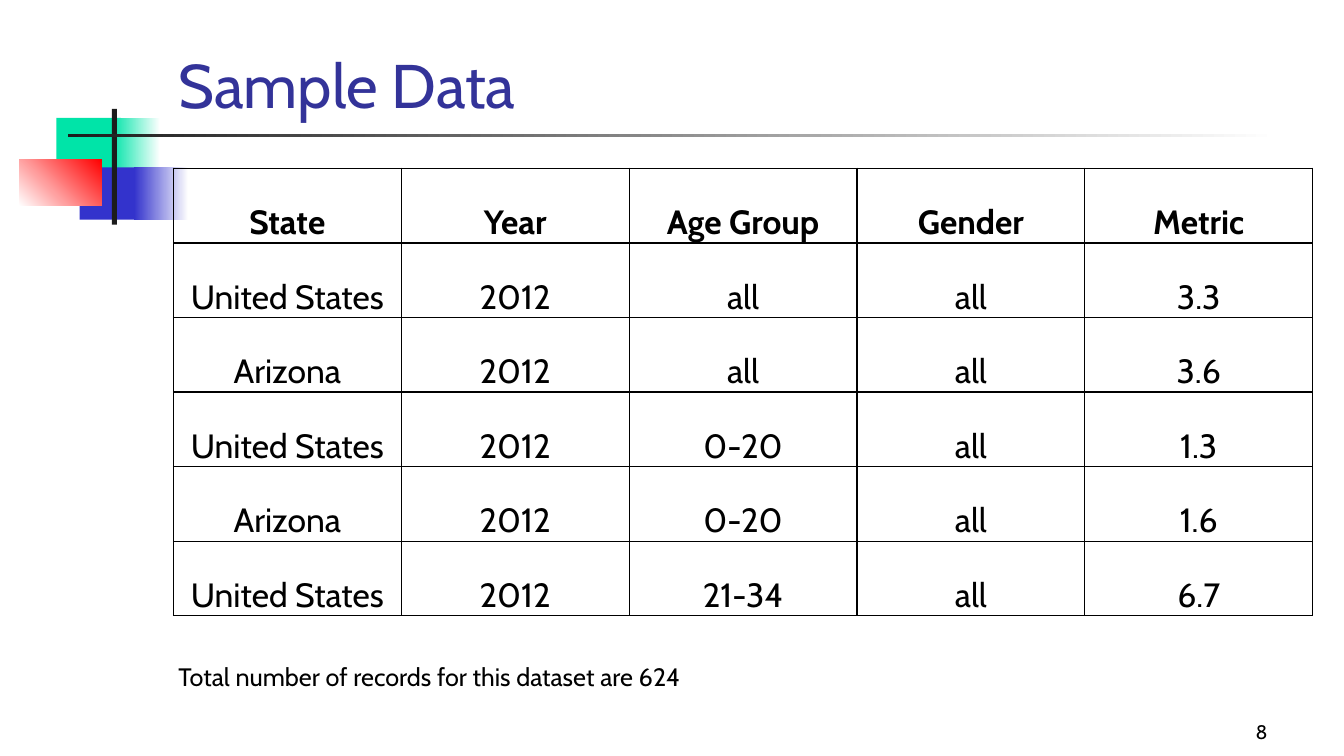
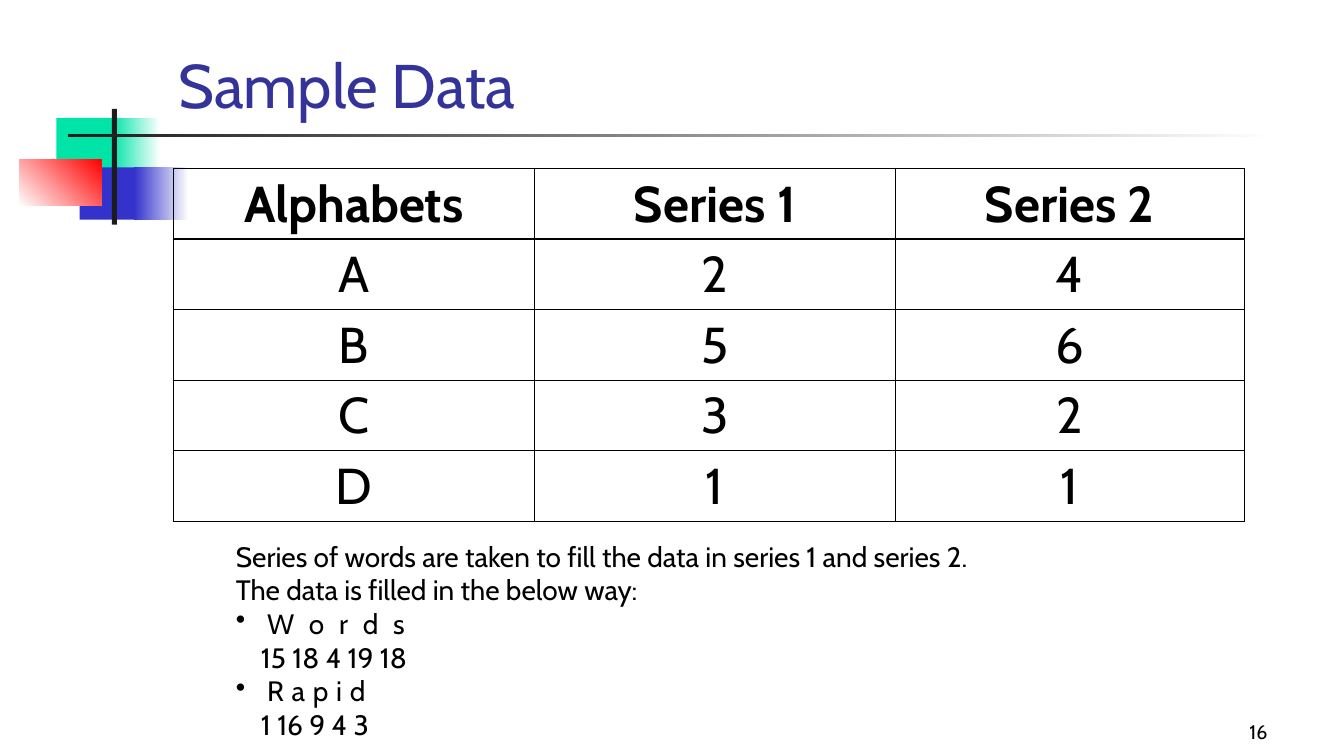
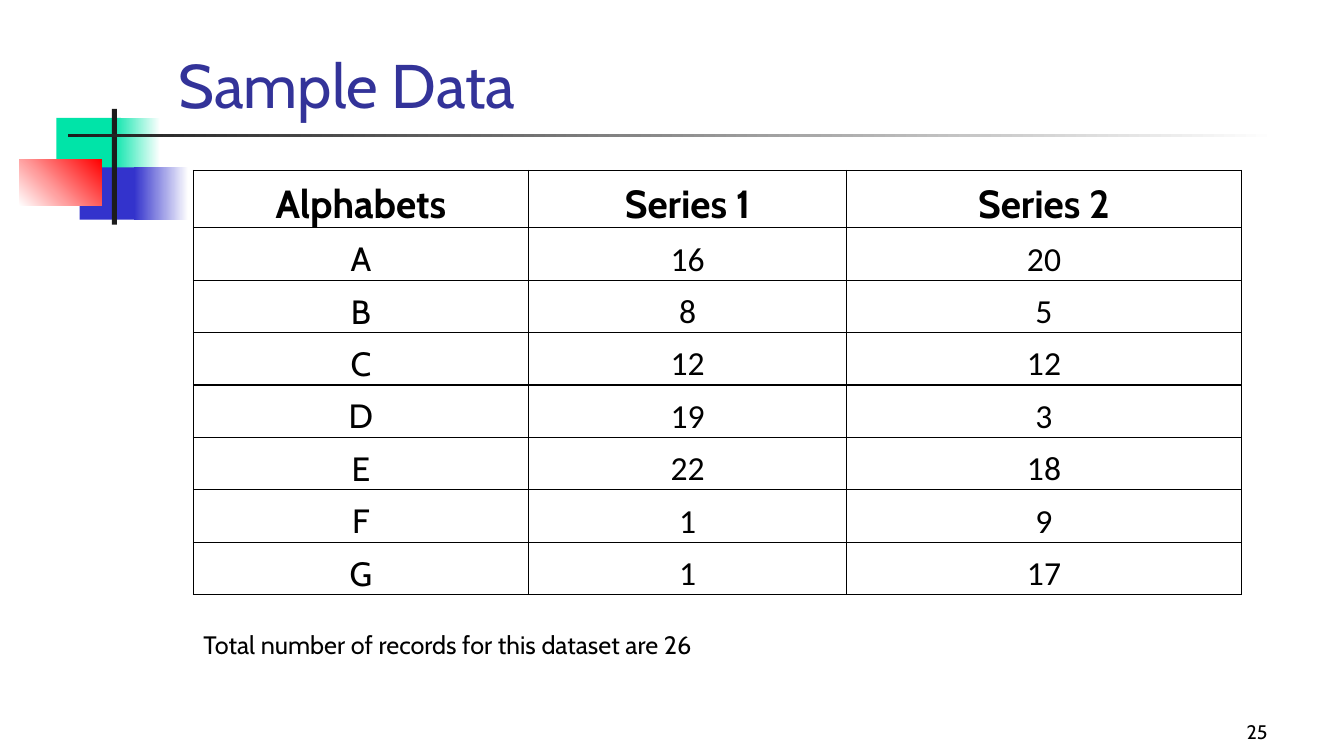
from lxml.etree import SubElement
from pptx import Presentation
from pptx.dml.color import RGBColor
from pptx.enum.shapes import MSO_SHAPE
from pptx.enum.text import MSO_ANCHOR, PP_ALIGN
from pptx.oxml.ns import qn
from pptx.util import Inches, Pt

FONT = "Cabin"
BLACK, WHITE, DARK = "000000", "FFFFFF", "1C1C1C"
GREEN, BLUE, RED, TITLE = "00E4A8", "3333CC", "FF0000", "333399"

MOTIF = [
    ((0.56, 1.17, 0.64, 0.52), GREEN, None, 0),
    ((1.11, 1.17, 0.48, 0.52), GREEN, WHITE, 0),
    ((0.79, 1.66, 0.62, 0.52), BLUE, None, 0),
    ((1.33, 1.66, 0.54, 0.52), BLUE, WHITE, 0),
    ((0.19, 1.58, 0.82, 0.46), WHITE, RED, 45),
    ((1.11, 1.08, 0.05, 1.15), DARK, None, 0),
    ((0.67, 1.33, 12, 0.03), DARK, WHITE, 0),
]


def paint(color, tone):
    """Set a colour from a hex string."""
    color.rgb = RGBColor.from_string(tone)


def style(para, size, tone=BLACK, face=FONT, bold=False, align=PP_ALIGN.LEFT):
    """Set the font and alignment of a paragraph."""
    font = para.font
    font.size, font.name, font.bold = Pt(size), face, bold
    paint(font.color, tone)
    para.alignment = align


def block(slide, box, tone, end=None, angle=0):
    """Draw a borderless rectangle, plain or fading to an end colour."""
    shape = slide.shapes.add_shape(MSO_SHAPE.RECTANGLE, *map(Inches, box))
    shape.shadow.inherit = False
    shape.line.fill.background()
    if end is None:
        shape.fill.solid()
        paint(shape.fill.fore_color, tone)
        return
    shape.fill.gradient()
    shape.fill.gradient_angle = angle
    for stop, shade in zip(shape.fill.gradient_stops, (tone, end)):
        paint(stop.color, shade)


def label(slide, box, lines, size, anchor=MSO_ANCHOR.TOP, **look):
    """Write lines in a wrapped text box and return its paragraphs."""
    frame = slide.shapes.add_textbox(*map(Inches, box)).text_frame
    frame.word_wrap = True
    frame.vertical_anchor = anchor
    frame.text = "\n".join(lines)
    for para in frame.paragraphs:
        style(para, size, **look)
    return frame.paragraphs


def base(deck, number):
    """Add a slide with the motif, title and page number."""
    slide = deck.slides.add_slide(deck.slide_layouts[6])
    for part in MOTIF:
        block(slide, *part)
    label(slide, (1.67, 0, 11.36, 1.25), ["Sample Data"], 44,
          MSO_ANCHOR.BOTTOM, tone=TITLE)
    label(slide, (9.89, 6.92, 2.78, 0.5), [str(number)], 14,
          MSO_ANCHOR.BOTTOM, align=PP_ALIGN.RIGHT)
    return slide


def border(cell):
    """Give a cell thin black edges and no fill."""
    props = cell._tc.get_or_add_tcPr()
    for side in ("lnL", "lnR", "lnT", "lnB"):
        edge = SubElement(props, qn("a:" + side), w=str(Pt(1)))
        fill = SubElement(edge, qn("a:solidFill"))
        SubElement(fill, qn("a:srgbClr"), val=BLACK)
    cell.fill.background()


def grid(slide, left, top, widths, heights, rows, head, body,
         tight=True, face=FONT):
    """Build a ruled table with a bold header row."""
    box = (left, top, sum(widths), sum(heights))
    table = slide.shapes.add_table(
        len(rows), len(widths), *map(Inches, box)).table
    table.first_row = table.horz_banding = False
    for col, width in zip(table.columns, widths):
        col.width = Inches(width)
    for y, (row, height) in enumerate(zip(rows, heights)):
        table.rows[y].height = Inches(height)
        for x, text in enumerate(row):
            cell = table.cell(y, x)
            cell.text = text
            style(cell.text_frame.paragraphs[0], body if y else head,
                  face=face if x and y else FONT, bold=not y,
                  align=PP_ALIGN.CENTER)
            if tight:
                cell.vertical_anchor = MSO_ANCHOR.BOTTOM
                cell.margin_left = cell.margin_right = Inches(0.01)
                cell.margin_top, cell.margin_bottom = Inches(0.01), 0
            border(cell)


def indent(para, left, hang=0, space=0):
    """Indent a paragraph, with a bullet if it hangs, and space its letters."""
    props = para._p.get_or_add_pPr()
    props.set("marL", str(Inches(left)))
    props.set("indent", str(-Inches(hang)))
    if hang:
        SubElement(props, qn("a:buChar"), char="•")
    for run in para.runs:
        run._r.get_or_add_rPr().set("spc", str(space))


def states(deck):
    """Build the slide of state metrics."""
    slide = base(deck, 8)
    rows = [
        ("State", "Year", "Age Group", "Gender", "Metric"),
        ("United States", "2012", "all", "all", "3.3"),
        ("Arizona", "2012", "all", "all", "3.6"),
        ("United States", "2012", "0-20", "all", "1.3"),
        ("Arizona", "2012", "0-20", "all", "1.6"),
        ("United States", "2012", "21-34", "all", "6.7"),
    ]
    grid(slide, 1.72, 1.67, [2.26] * 5, [0.74] * 6, rows, 24, 24)
    label(slide, (1.67, 6.51, 8.5, 0.4),
          ["Total number of records for this dataset are 624"], 18)


def words(deck):
    """Build the slide on filling the series from words."""
    slide = base(deck, 16)
    rows = [("Alphabets", "Series 1", "Series 2"), ("A", "2", "4"),
            ("B", "5", "6"), ("C", "3", "2"), ("D", "1", "1")]
    grid(slide, 1.72, 1.67, [3.58, 3.58, 3.46], [0.7] * 5, rows, 36, 36,
         tight=False)
    paras = label(slide, (2.24, 5.3, 9.58, 2.12), [
        "Series of words are taken to fill the data in series 1 and series 2.",
        "The data is filled in the below way:",
        "W o r d s", "15 18 4 19 18", "R a p i d", "1 16 9 4 3"], 20)
    for para, space in zip(paras[2::2], (300, 50)):
        indent(para, 0.31, 0.31, space)
    for para in paras[3::2]:
        indent(para, 0.25)


def letters(deck):
    """Build the slide of letter counts."""
    slide = base(deck, 25)
    rows = [("Alphabets", "Series 1", "Series 2"), ("A", "16", "20"),
            ("B", "8", "5"), ("C", "12", "12"), ("D", "19", "3"),
            ("E", "22", "18"), ("F", "1", "9"), ("G", "1", "17")]
    grid(slide, 1.92, 1.69, [3.32, 3.16, 3.91], [0.57] + [0.52] * 7, rows,
         28, 24, face="Calibri")
    label(slide, (1.92, 6.19, 8.8, 0.4),
          ["Total number of records for this dataset are 26"], 18)


def main():
    """Build and save the deck."""
    deck = Presentation()
    deck.slide_width, deck.slide_height = Inches(13.33), Inches(7.5)
    for build in (states, words, letters):
        build(deck)
    deck.save("out.pptx")


if __name__ == "__main__":
    main()
